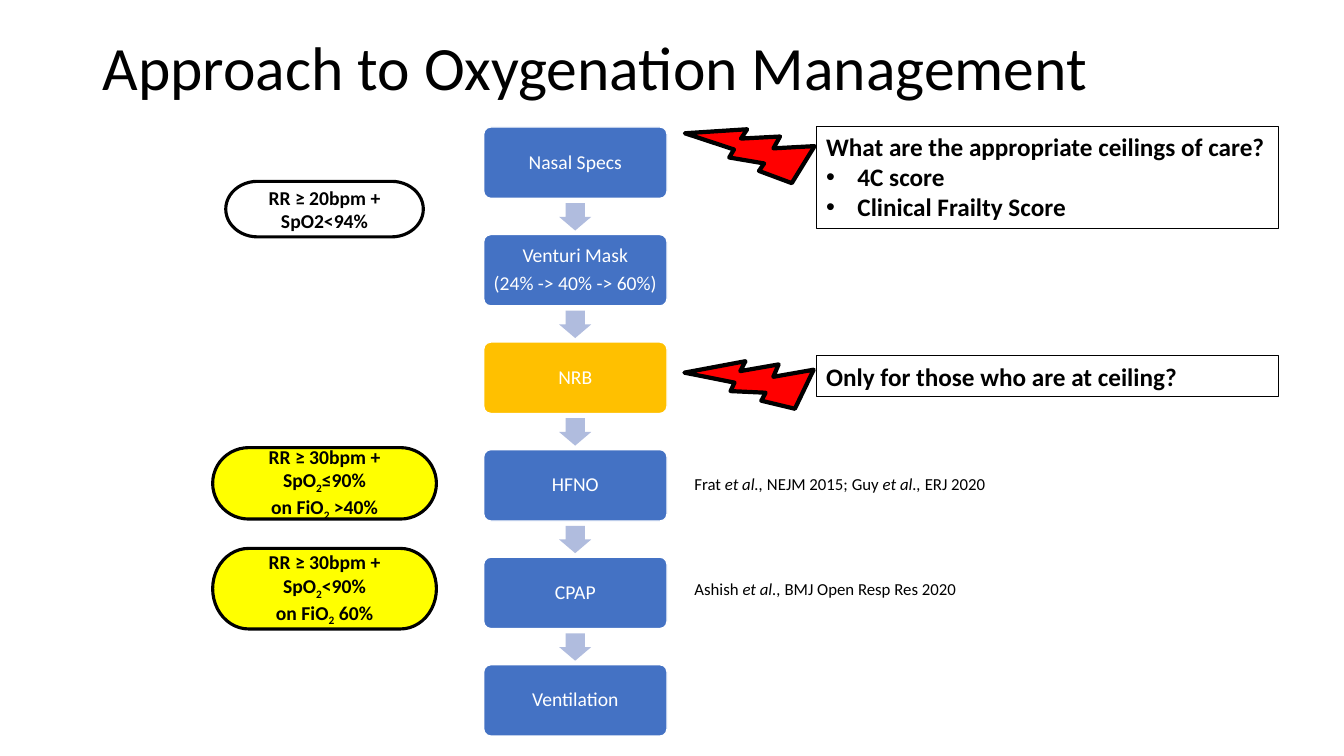
from dataclasses import dataclass

from lxml.etree import SubElement
from pptx import Presentation
from pptx.dml.color import RGBColor
from pptx.enum.shapes import MSO_SHAPE as Preset
from pptx.enum.text import MSO_ANCHOR as Anchor, PP_ALIGN as Align
from pptx.oxml.ns import qn
from pptx.shapes.autoshape import Shape
from pptx.shapes.shapetree import SlideShapes
from pptx.util import Cm, Pt


@dataclass(frozen=True)
class Theme:
    font: str = "Calibri"
    black: str = "000000"
    white: str = "FFFFFF"
    blue: str = "4472C4"
    amber: str = "FFC000"
    pale_blue: str = "B0BCDE"
    yellow: str = "FFFF00"
    red: str = "FF0000"
    title_size: float = 44
    question_size: float = 18
    label_size: float = 14
    citation_size: float = 12


THEME = Theme()


@dataclass(frozen=True)
class Box:
    left: float
    top: float
    width: float
    height: float


@dataclass(frozen=True)
class Run:
    text: str
    italic: bool = False
    subscript: bool = False


@dataclass(frozen=True)
class Line:
    runs: tuple[Run, ...]
    bullet: bool = False


@dataclass(frozen=True)
class TextStyle:
    size: float
    color: str = THEME.black
    bold: bool = False
    align: Align = Align.LEFT
    anchor: Anchor = Anchor.TOP
    spacing: float = 1.0
    after: float = 0
    inset: float | None = None


@dataclass(frozen=True)
class Step:
    lines: tuple[Line, ...]
    fill: str = THEME.blue


@dataclass(frozen=True)
class Criterion:
    box: Box
    fill: str
    lines: tuple[Line, ...]


@dataclass(frozen=True)
class Question:
    box: Box
    lines: tuple[Line, ...]
    bolt: Box
    angle: float


@dataclass(frozen=True)
class Citation:
    top: float
    line: Line


def plain(text: str, bullet: bool = False) -> Line:
    return Line((Run(text),), bullet)


def with_subscript(before: str, after: str) -> Line:
    return Line((Run(before), Run("2", subscript=True), Run(after)))


TITLE_STYLE = TextStyle(THEME.title_size, anchor=Anchor.MIDDLE, spacing=0.9)
STEP_STYLE = TextStyle(THEME.label_size, THEME.white, align=Align.CENTER,
                       anchor=Anchor.MIDDLE, spacing=0.9, after=4.9, inset=0.15)
CRITERION_STYLE = TextStyle(THEME.label_size, bold=True, align=Align.CENTER, anchor=Anchor.MIDDLE)
QUESTION_STYLE = TextStyle(THEME.question_size, bold=True)
CITATION_STYLE = TextStyle(THEME.citation_size)

STEP_TOP, STEP_PITCH, ARROW_OFFSET = 3.2, 2.71, 1.86

STEPS = (
    Step((plain("Nasal Specs"),)),
    Step((plain("Venturi Mask"), plain("(24% -> 40% -> 60%)"))),
    Step((plain("NRB"),), THEME.amber),
    Step((plain("HFNO"),)),
    Step((plain("CPAP"),)),
    Step((plain("Ventilation"),)),
)

CRITERIA = (
    Criterion(Box(5.69, 4.57, 4.98, 1.4), THEME.white, (plain("RR ≥ 20bpm + SpO2<94%"),)),
    Criterion(Box(5.36, 11.28, 5.64, 1.8), THEME.yellow,
              (with_subscript("RR ≥ 30bpm + SpO", "≤90%"), with_subscript("on FiO", " >40%"))),
    Criterion(Box(5.36, 13.82, 5.64, 2.03), THEME.yellow,
              (with_subscript("RR ≥ 30bpm + SpO", "<90%"), with_subscript("on FiO", " 60%"))),
)

QUESTIONS = (
    Question(Box(20.57, 3.18, 11.66, 2.57),
             (plain("What are the appropriate ceilings of care?"),
              plain("4C score", bullet=True),
              plain("Clinical Frailty Score", bullet=True)),
             Box(17.75, 2.44, 2.54, 2.54), 146.3),
    Question(Box(20.57, 8.97, 11.66, 1.02), (plain("Only for those who are at ceiling?"),),
             Box(17.75, 8.28, 2.54, 2.49), 139.9),
)

CITATIONS = (
    Citation(11.81, Line((Run("Frat "), Run("et al.,", italic=True), Run(" NEJM 2015; Guy "),
                          Run("et al., ", italic=True), Run("ERJ 2020")))),
    Citation(14.45, Line((Run("Ashish "), Run("et al.,", italic=True),
                          Run(" BMJ Open Resp Res 2020")))),
)


def write(shape: Shape, lines: tuple[Line, ...], style: TextStyle) -> None:
    frame = shape.text_frame
    frame.word_wrap = True
    frame.vertical_anchor = style.anchor
    if style.inset is not None:
        frame.margin_left = frame.margin_right = Cm(style.inset)
        frame.margin_top = frame.margin_bottom = Cm(style.inset)
    for index, line in enumerate(lines):
        paragraph = frame.paragraphs[0] if index == 0 else frame.add_paragraph()
        paragraph.alignment = style.align
        paragraph.line_spacing = style.spacing
        paragraph.space_after = Pt(style.after)
        if line.bullet:
            properties = paragraph._p.get_or_add_pPr()
            properties.set("marL", str(Cm(0.79)))
            properties.set("indent", str(-Cm(0.79)))
            SubElement(properties, qn("a:buFont")).set("typeface", "Arial")
            SubElement(properties, qn("a:buChar")).set("char", "•")
        font = paragraph.font
        font.name, font.size, font.bold = THEME.font, Pt(style.size), style.bold
        font.color.rgb = RGBColor.from_string(style.color)
        for part in line.runs:
            run = paragraph.add_run()
            run.text = part.text
            if part.italic:
                run.font.italic = True
            if part.subscript:
                run._r.get_or_add_rPr().set("baseline", "-25000")


def add_preset(shapes: SlideShapes, preset: Preset, box: Box, fill: str | None,
               outline: str | None = None, weight: float = 1, angle: float = 0) -> Shape:
    shape = shapes.add_shape(preset, Cm(box.left), Cm(box.top), Cm(box.width), Cm(box.height))
    shape.shadow.inherit = False
    shape.rotation = angle
    if fill:
        shape.fill.solid()
        shape.fill.fore_color.rgb = RGBColor.from_string(fill)
    else:
        shape.fill.background()
    if outline:
        shape.line.color.rgb = RGBColor.from_string(outline)
        shape.line.width = Pt(weight)
    else:
        shape.line.fill.background()
    return shape


def add_text(shapes: SlideShapes, box: Box, line: Line, style: TextStyle) -> None:
    label = shapes.add_textbox(Cm(box.left), Cm(box.top), Cm(box.width), Cm(box.height))
    write(label, (line,), style)


def add_pathway(shapes: SlideShapes) -> None:
    for index, step in enumerate(STEPS):
        top = STEP_TOP + index * STEP_PITCH
        card = add_preset(shapes, Preset.ROUNDED_RECTANGLE, Box(12.19, top, 4.62, 1.8),
                          step.fill, THEME.white)
        card.adjustments[0] = 0.1
        write(card, step.lines, STEP_STYLE)
        if index < len(STEPS) - 1:
            arrow = add_preset(shapes, Preset.RIGHT_ARROW,
                               Box(14.15, top + ARROW_OFFSET, 0.69, 0.81),
                               THEME.pale_blue, angle=90)
            arrow.adjustments[0] = 0.6


def main() -> None:
    deck = Presentation()
    deck.slide_width, deck.slide_height = Cm(33.87), Cm(19.05)
    shapes = deck.slides.add_slide(deck.slide_layouts[6]).shapes
    add_text(shapes, Box(2.34, -0.05, 29.21, 3.68),
             plain("Approach to Oxygenation Management"), TITLE_STYLE)
    add_pathway(shapes)
    for question in QUESTIONS:
        add_preset(shapes, Preset.LIGHTNING_BOLT, question.bolt, THEME.red,
                   THEME.black, 3, question.angle)
        frame = add_preset(shapes, Preset.RECTANGLE, question.box, None, THEME.black, 0.75)
        write(frame, question.lines, QUESTION_STYLE)
    for criterion in CRITERIA:
        pill = add_preset(shapes, Preset.FLOWCHART_TERMINATOR, criterion.box, criterion.fill,
                          THEME.black, 2.25)
        write(pill, criterion.lines, CRITERION_STYLE)
    for citation in CITATIONS:
        add_text(shapes, Box(17.25, citation.top, 11.89, 0.76), citation.line, CITATION_STYLE)
    deck.save("out.pptx")


if __name__ == "__main__":
    main()
